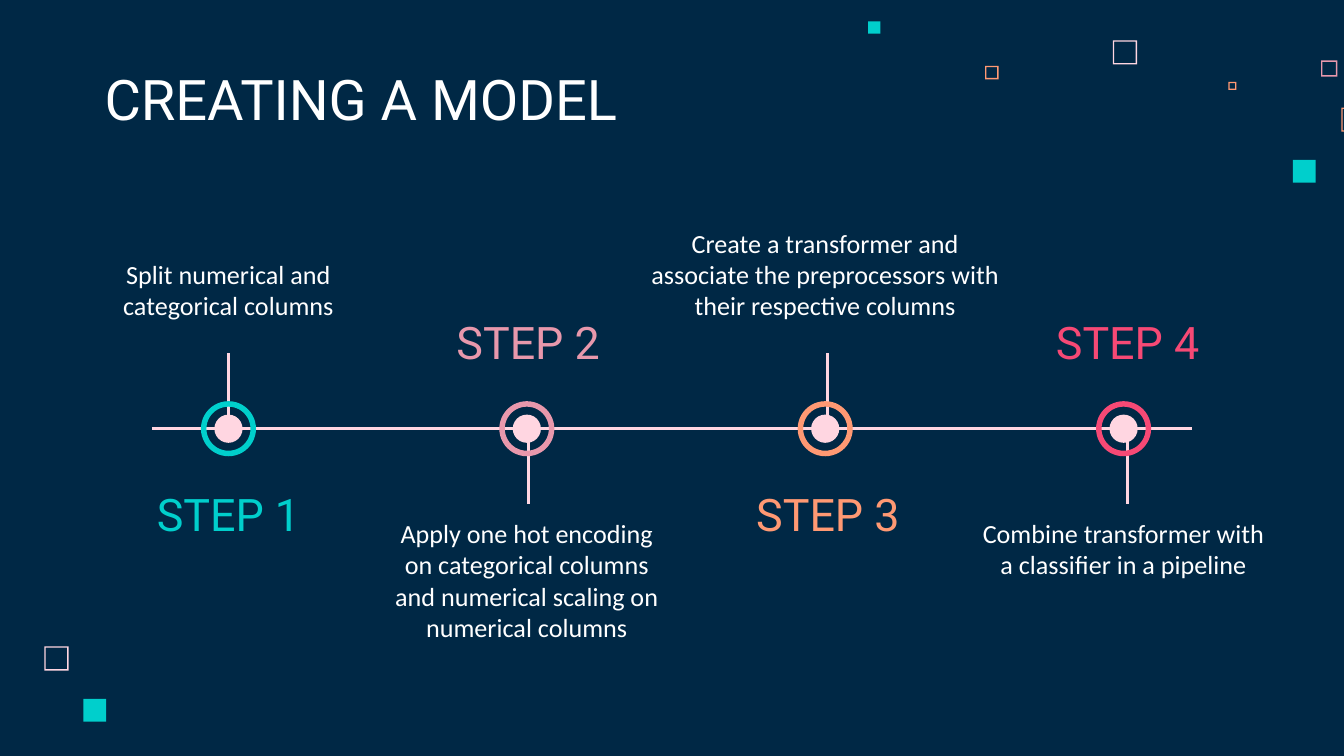
from lxml.etree import SubElement
from pptx import Presentation
from pptx.dml.color import RGBColor
from pptx.enum.shapes import MSO_CONNECTOR, MSO_SHAPE
from pptx.enum.text import MSO_ANCHOR, PP_ALIGN
from pptx.oxml.ns import qn
from pptx.util import Inches, Pt

COLORS = {
    "navy": "002845", "white": "FFFFFF", "blush": "FFD6E1", "teal": "00CFCC",
    "rose": "E898AC", "orange": "FF9973", "red": "F64975",
}
TITLE = "CREATING A MODEL"
STEPS = [
    ("STEP 1", "teal", "Split numerical and categorical columns", 2.06, 0.71),
    ("STEP 2", "rose", "Apply one hot encoding on categorical columns and "
                       "numerical scaling on numerical columns", 2.31, 1.18),
    ("STEP 3", "orange", "Create a transformer and associate the preprocessors "
                         "with their respective columns", 2.89, 0.92),
    ("STEP 4", "red", "Combine transformer with a classifier in a pipeline", 2.41, 1.01),
]
HOLLOW_SQUARES = [
    (8.28, 0.3, 0.18, "blush"), (9.83, 0.45, 0.12, "rose"),
    (9.14, 0.61, 0.06, "orange"), (9.98, 0.8, 0.18, "orange"),
    (7.33, 0.49, 0.1, "orange"), (0.33, 4.81, 0.18, "blush"),
]
SOLID_SQUARES = [
    (9.62, 1.19, 0.17, "teal"), (6.46, 0.16, 0.09, "teal"), (0.62, 5.2, 0.17, "teal"),
]

WIDTH = 10
HEIGHT = WIDTH * 9 / 16
FIRST_X, NODE_PITCH, LABEL_PITCH = 1.7, 2.22, 2.23
AXIS_Y = 3.19
DOT, RING = 0.21, 0.41
STEM_NEAR, STEM_FAR = 0.06, 0.56
LABEL_W, LABEL_H = 1.41, 0.47
LABEL_ABOVE, LABEL_BELOW = 2.31, 3.59
DETAIL_BOTTOM, DETAIL_TOP = 2.49, 3.75
FRAME_LINE = 0.01

deck = Presentation()
deck.slide_width, deck.slide_height = Inches(WIDTH), Inches(HEIGHT)
slide = deck.slides.add_slide(deck.slide_layouts[6])


def rgb(name):
    return RGBColor.from_string(COLORS[name])


def add_solid(kind, x, y, size, color, adjustment=None):
    solid = slide.shapes.add_shape(kind, Inches(x), Inches(y), Inches(size), Inches(size))
    solid.shadow.inherit = False
    solid.fill.solid()
    solid.fill.fore_color.rgb = rgb(color)
    solid.line.fill.background()
    if adjustment is not None:
        solid.adjustments[0] = adjustment


def add_line(x1, y1, x2, y2):
    line = slide.shapes.add_connector(
        MSO_CONNECTOR.STRAIGHT, Inches(x1), Inches(y1), Inches(x2), Inches(y2))
    line.line.color.rgb = rgb("blush")
    line.line.width = Pt(1.5)
    SubElement(line._element.spPr, qn("a:effectLst"))


def add_text(words, x, y, w, h, font, size, color, anchor, align=PP_ALIGN.CENTER):
    frame = slide.shapes.add_textbox(Inches(x), Inches(y), Inches(w), Inches(h)).text_frame
    frame.word_wrap = True
    frame.vertical_anchor = anchor
    frame.margin_left = frame.margin_right = Inches(0.1)
    frame.margin_top = frame.margin_bottom = Inches(0.1)
    paragraph = frame.paragraphs[0]
    paragraph.text = words
    paragraph.alignment = align
    paragraph.font.name = font
    paragraph.font.size = Pt(size)
    paragraph.font.color.rgb = rgb(color)


slide.background.fill.solid()
slide.background.fill.fore_color.rgb = rgb("navy")

for x, y, size, color in HOLLOW_SQUARES:
    add_solid(MSO_SHAPE.FRAME, x, y, size, color, FRAME_LINE / size)
for x, y, size, color in SOLID_SQUARES:
    add_solid(MSO_SHAPE.RECTANGLE, x, y, size, color)

add_text(TITLE, 0.68, 0.45, 5.17, 0.63, "Roboto", 30, "white",
         MSO_ANCHOR.BOTTOM, PP_ALIGN.LEFT)

for i in range(len(STEPS)):
    x = FIRST_X + i * LABEL_PITCH
    side = 1 if i % 2 else -1
    add_line(x, AXIS_Y + side * STEM_NEAR, x, AXIS_Y + side * STEM_FAR)
add_line(1.13, AXIS_Y, WIDTH - 1.13, AXIS_Y)

for i, (label, color, detail, detail_w, detail_h) in enumerate(STEPS):
    node_x = FIRST_X + i * NODE_PITCH
    add_solid(MSO_SHAPE.OVAL, node_x - DOT / 2, AXIS_Y - DOT / 2, DOT, "blush")
    add_solid(MSO_SHAPE.DONUT, node_x - RING / 2, AXIS_Y - RING / 2, RING, color, 0.1)

    label_x = FIRST_X + i * LABEL_PITCH
    detail_below = i % 2 == 1
    label_y = LABEL_ABOVE if detail_below else LABEL_BELOW
    detail_y = DETAIL_TOP if detail_below else DETAIL_BOTTOM - detail_h
    detail_anchor = MSO_ANCHOR.TOP if detail_below else MSO_ANCHOR.BOTTOM
    add_text(detail, node_x - detail_w / 2, detail_y, detail_w, detail_h,
             "Calibri", 14, "white", detail_anchor)
    add_text(label, label_x - LABEL_W / 2, label_y, LABEL_W, LABEL_H,
             "Roboto", 24, color, MSO_ANCHOR.MIDDLE)

deck.save("out.pptx")
